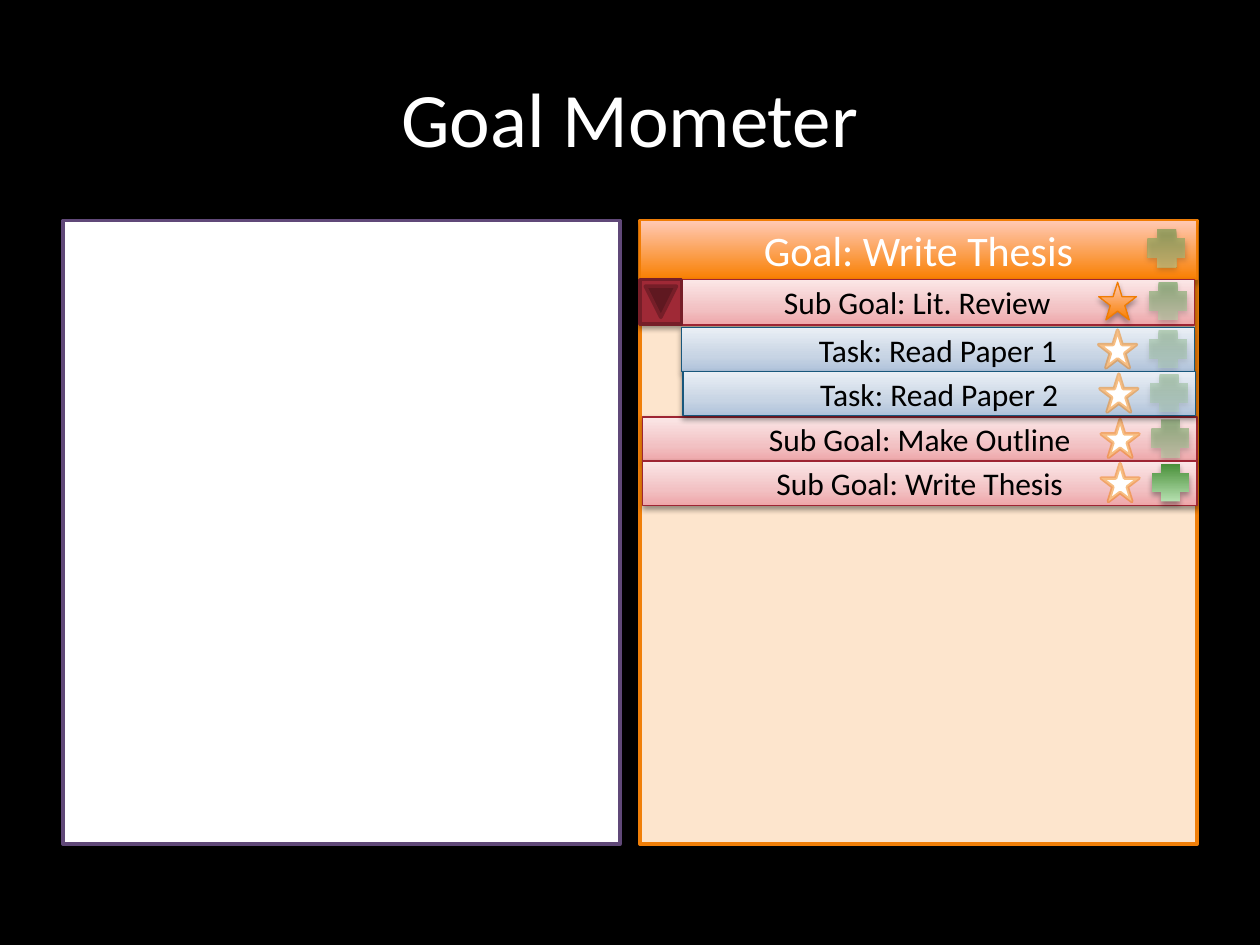
from dataclasses import dataclass

from lxml.etree import SubElement
from pptx import Presentation
from pptx.dml.color import RGBColor
from pptx.enum.shapes import MSO_SHAPE as Kind
from pptx.enum.text import MSO_ANCHOR as Anchor, PP_ALIGN as Align
from pptx.oxml.ns import qn
from pptx.util import Inches, Pt

ORANGE = [(0, "F97F00"), (100, "FFC9B5")]
GREEN = [(0, "488F38"), (100, "B5DFAF")]
PINK = [(0, "EEA6A9"), (35, "F2C1C3"), (100, "FBE7E7")]
BLUE = [(0, "AFC2DA"), (35, "C7D4E4"), (100, "EAEFF5")]
ICON = 0.3


@dataclass
class Row:
    text: str
    left: float
    top: float
    right: float
    high: float
    stops: list
    edge: str
    plus: int
    done: bool = False


ROWS = [
    Row("Sub Goal: Make Outline", 5.1, 3.31, 9.5, 0.35, PINK, "9E2533", 50),
    Row("Sub Goal: Write Thesis", 5.1, 3.66, 9.5, 0.35, PINK, "9E2533", 100),
    Row("Sub Goal: Lit. Review", 5.08, 2.22, 9.48, 0.36, PINK, "9E2533", 50, True),
    Row("Task: Read Paper 1", 5.41, 2.6, 9.48, 0.35, BLUE, "18577C", 30),
    Row("Task: Read Paper 2", 5.42, 2.95, 9.49, 0.35, BLUE, "18577C", 30),
]


def paint(target, value: str) -> None:
    target.rgb = RGBColor.from_string(value)


def fade(color, alpha: int) -> None:
    SubElement(color, qn("a:alpha"), val=str(alpha * 1000))


def blend(shape, stops: list, alpha: int = 100) -> None:
    shape.fill.gradient()
    shape.fill.gradient_angle = 90
    bands = shape._element.spPr.find(qn("a:gradFill")).find(qn("a:gsLst"))
    for old in list(bands):
        bands.remove(old)
    for place, value in stops:
        stop = SubElement(bands, qn("a:gs"), pos=str(place * 1000))
        color = SubElement(stop, qn("a:srgbClr"), val=value)
        if alpha < 100:
            fade(color, alpha)


def shade(shape, alpha: int, gap: float) -> None:
    effects = shape._element.spPr.find(qn("a:effectLst"))
    drop = SubElement(effects, qn("a:outerShdw"), blurRad=str(Pt(3.15)),
                      dist=str(Pt(gap)), dir="5400000", rotWithShape="0")
    fade(SubElement(drop, qn("a:srgbClr"), val="000000"), alpha)


def draw(slide, kind: Kind, left: float, top: float, wide: float, high: float,
         fill: str | list, edge: str = "", line: float = 0.75, alpha: int = 100,
         clear: int = 100):
    shape = slide.shapes.add_shape(kind, Inches(left), Inches(top),
                                   Inches(wide), Inches(high))
    shape.shadow.inherit = False
    if isinstance(fill, list):
        blend(shape, fill, alpha)
    else:
        shape.fill.solid()
        paint(shape.fill.fore_color, fill)
    if not edge:
        shape.line.fill.background()
        return shape
    shape.line.width = Pt(line)
    shape.line.fill.solid()
    paint(shape.line.color, edge)
    if clear < 100:
        fade(next(shape.line._ln.iter(qn("a:srgbClr"))), clear)
    return shape


def write(shape, text: str, *, size: float, color: str) -> None:
    frame = shape.text_frame
    frame.word_wrap = True
    frame.vertical_anchor = Anchor.MIDDLE
    para = frame.paragraphs[0]
    para.alignment = Align.CENTER
    run = para.add_run()
    run.text = text
    run.font.name = "Calibri"
    run.font.size = Pt(size)
    paint(run.font.color, color)


def add_plus(slide, left: float, top: float, alpha: int) -> None:
    plus = draw(slide, Kind.CROSS, left, top, ICON, ICON, GREEN, alpha=alpha)
    plus._element.spPr.find(qn("a:xfrm")).set("flipV", "1")
    shade(plus, 35, 1.8)


def add_star(slide, left: float, top: float, done: bool) -> None:
    spot = (Kind.STAR_5_POINT, left, top, ICON, ICON)
    if done:
        shade(draw(slide, *spot, ORANGE, "F07C03"), 35, 1.8)
    else:
        draw(slide, *spot, "FFFFFF", "F07F09", 2, clear=50)


def add_row(slide, row: Row) -> None:
    bar = draw(slide, Kind.RECTANGLE, row.left, row.top, row.right - row.left,
               row.high, row.stops, row.edge)
    shade(bar, 38, 1.6)
    write(bar, row.text, size=18, color="000000")
    add_plus(slide, row.right - 0.36, row.top + 0.02, row.plus)
    add_star(slide, row.right - 0.76, row.top + 0.02, row.done)
    if row.done:
        arrow = draw(slide, Kind.ACTION_BUTTON_FORWARD_OR_NEXT, row.left - 0.01,
                     row.top + 0.01, 0.35, 0.33, "9F2936", "761E28", 2)
        arrow.rotation = 90


def main() -> None:
    deck = Presentation()
    deck.slide_width, deck.slide_height = Inches(10), Inches(7.5)
    slide = deck.slides.add_slide(deck.slide_layouts[6])
    slide.background.fill.solid()
    paint(slide.background.fill.fore_color, "000000")

    draw(slide, Kind.RECTANGLE, 0.5, 1.75, 4.42, 4.95, "FFFFFF", "604878", 2)
    title = slide.shapes.add_textbox(Inches(0.5), Inches(0.3), Inches(9), Inches(1.25))
    write(title, "Goal Mometer", size=44, color="FFFFFF")

    draw(slide, Kind.RECTANGLE, 5.08, 1.75, 4.42, 4.95, "FDE5CD", "F07F09", 2)
    head = draw(slide, Kind.RECTANGLE, 5.08, 1.75, 4.42, 0.47, ORANGE, "F07C03")
    shade(head, 35, 1.8)
    write(head, "Goal: Write Thesis", size=24, color="FFFFFF")
    add_plus(slide, 9.11, 1.82, 50)
    for row in ROWS:
        add_row(slide, row)
    deck.save("out.pptx")


if __name__ == "__main__":
    main()
